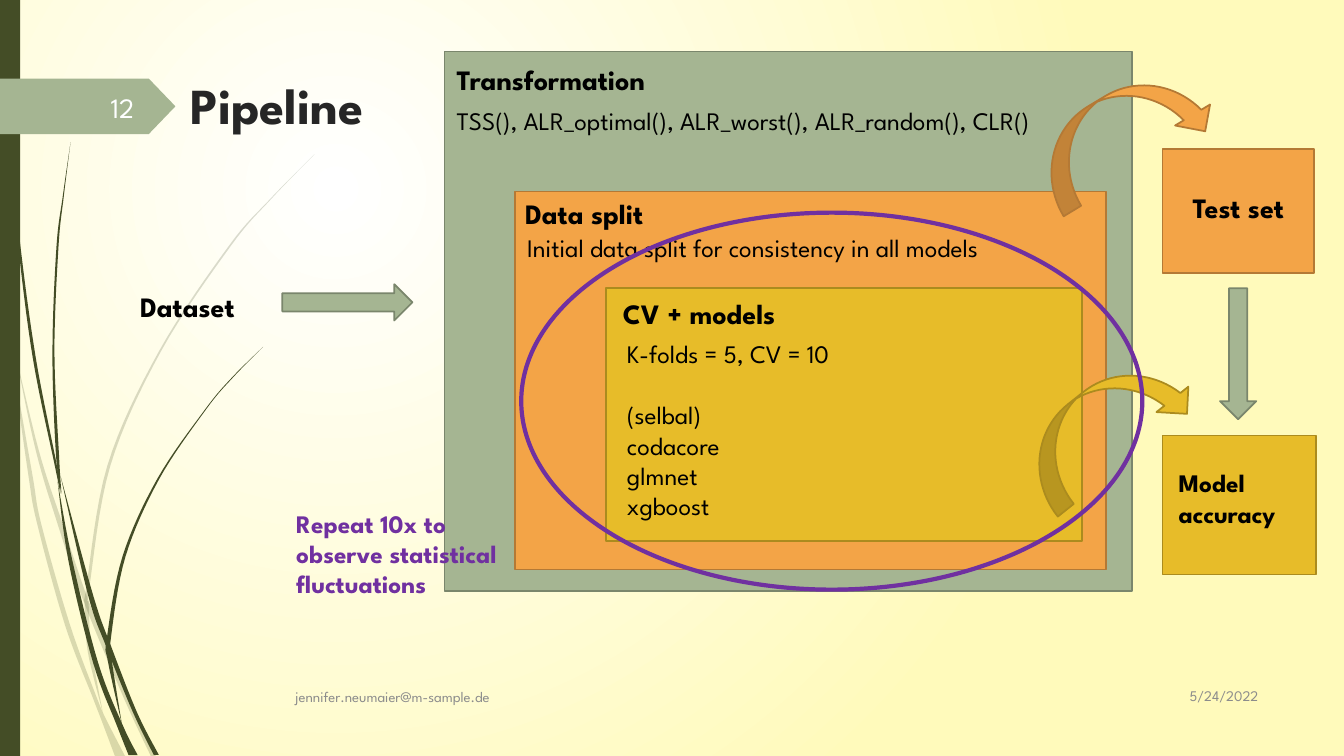
from lxml import etree
from pptx import Presentation
from pptx.dml.color import RGBColor
from pptx.enum.shapes import MSO_SHAPE
from pptx.enum.text import MSO_ANCHOR, PP_ALIGN
from pptx.oxml.ns import qn
from pptx.util import Inches, Pt

RECT = MSO_SHAPE.RECTANGLE
OVAL = MSO_SHAPE.OVAL
ARROW = MSO_SHAPE.RIGHT_ARROW
CURVE = MSO_SHAPE.CURVED_DOWN_ARROW
TAG = MSO_SHAPE.PENTAGON
TOP, MIDDLE = MSO_ANCHOR.TOP, MSO_ANCHOR.MIDDLE
LEFT, RIGHT = PP_ALIGN.LEFT, PP_ALIGN.RIGHT

FONT = "League Spartan"
STEPS = 8
COLORS = {
    "white": "FFFFFF", "cream": "FFFABB", "dark": "444D26",
    "green": "A5B592", "moss": "7A866C",
    "orange": "F3A447", "rust": "B47935",
    "gold": "E7BC29", "bronze": "AB8B1E",
    "purple": "7030A0", "black": "000000", "ink": "262626",
    "gray": "8C8C8C", "pale": "FEFFFF",
}
EDGES = {"green": "moss", "orange": "rust", "gold": "bronze"}

# Each point is x, y and width across, in inches.
PALE_STEMS = [
    [(0.11, 3.5, 0), (0.3, 4.7, 0.04), (0.39, 5.2, 0.04), (0.67, 6.2, 0.05),
     (0.94, 6.92, 0.04), (1.03, 7.14, 0.05), (1.19, 7.5, 0.1)],
    [(0.14, 3.45, 0), (0.37, 4.47, 0.03), (0.6, 5.21, 0.05), (0.86, 5.98, 0.05),
     (1.25, 6.93, 0.04), (1.52, 7.5, 0.05)],
    [(1.02, 7.07, 0), (0.89, 6.46, 0.04), (0.86, 6, 0.04), (0.87, 5.84, 0.03),
     (1.08, 4.62, 0.03), (1.59, 3.48, 0.02), (2.28, 2.44, 0.02),
     (2.68, 1.98, 0.01), (3.12, 1.53, 0)],
]
DARK_STEMS = [
    [(0.03, 0, 0.01), (0.07, 1.1, 0.01), (0.18, 2.33, 0.02),
     (0.34, 3.55, 0.03), (0.56, 4.65, 0.02), (0.6, 4.9, 0)],
    [(0.57, 4.77, 0), (0.7, 5.57, 0.04), (0.95, 6.58, 0.05),
     (1.19, 7.2, 0.06), (1.32, 7.49, 0.09)],
    [(0.6, 4.72, 0), (0.9, 5.91, 0.05), (1.08, 6.42, 0.05),
     (1.34, 7.07, 0.04), (1.55, 7.49, 0.05)],
    [(0.61, 4.9, 0), (0.57, 4.51, 0.03), (0.53, 3.49, 0.02),
     (0.57, 2.45, 0.02), (0.63, 1.93, 0.01), (0.7, 1.41, 0)],
    [(1.21, 7.19, 0), (1.09, 6.56, 0.04), (1.08, 6.33, 0.04),
     (1.23, 5.52, 0.03), (1.57, 4.75, 0.02), (2.04, 4.06, 0.01),
     (2.31, 3.74, 0.01), (2.61, 3.44, 0)],
]


def color(name):
    return RGBColor.from_string(COLORS[name])


def smooth(points):
    ends = [points[0], *points, points[-1]]
    curve = []
    for a, b, c, d in zip(ends, ends[1:], ends[2:], ends[3:]):
        for step in range(STEPS):
            t = step / STEPS
            curve.append([
                q + t * (r - p) / 2
                + t * t * (2 * p - 5 * q + 4 * r - s) / 2
                + t ** 3 * (3 * q - p - 3 * r + s) / 2
                for p, q, r, s in zip(a, b, c, d)
            ])
    return curve + [points[-1]]


def add_stem(slide, points, alpha=None):
    curve = smooth(points)
    edge = [(x - w / 2, y) for x, y, w in curve]
    edge += [(x + w / 2, y) for x, y, w in reversed(curve)]
    dots = [(Inches(x), Inches(y)) for x, y in edge]
    pen = slide.shapes.build_freeform(*dots[0])
    pen.add_line_segments(dots[1:])
    stem = pen.convert_to_shape()
    stem.shadow.inherit = False
    stem.fill.solid()
    stem.fill.fore_color.rgb = color("dark")
    stem.line.fill.background()
    if alpha:
        tint = next(stem.fill._xPr.iter(qn("a:srgbClr")))
        etree.SubElement(tint, qn("a:alpha")).set("val", str(alpha * 1000))


def add_form(slide, kind, box, fill=None, edge=None, width=1.25, turn=0):
    form = slide.shapes.add_shape(kind, *map(Inches, box))
    form.shadow.inherit = False
    form.rotation = turn
    if fill:
        form.fill.solid()
        form.fill.fore_color.rgb = color(fill)
    else:
        form.fill.background()
    if edge:
        form.line.color.rgb = color(edge)
        form.line.width = Pt(width)
    else:
        form.line.fill.background()
    return form


def add_text(slide, box, lines, size, bold=False, ink="black",
             align=LEFT, anchor=TOP):
    frame = slide.shapes.add_textbox(*map(Inches, box)).text_frame
    frame.word_wrap = True
    frame.vertical_anchor = anchor
    frame.text = lines
    for para in frame.paragraphs:
        para.alignment = align
        para.font.name = FONT
        para.font.size = Pt(size)
        para.font.bold = bold
        para.font.color.rgb = color(ink)
    return frame


def set_back(slide):
    fill = slide.background.fill
    fill.gradient()
    for stop, name, place in zip(fill.gradient_stops, ("white", "cream"), (0, 1)):
        stop.color.rgb = color(name)
        stop.position = place
    grad = next(slide.background._cSld.iter(qn("a:gradFill")))
    grad.remove(grad.find(qn("a:lin")))
    ring = etree.SubElement(grad, qn("a:path"))
    ring.set("path", "circle")
    rect = etree.SubElement(ring, qn("a:fillToRect"))
    for side, value in zip("ltrb", (50, 50, 100, 100)):
        rect.set(side, str(value * 1000))


def main():
    deck = Presentation()
    deck.slide_width, deck.slide_height = Inches(13.33), Inches(7.5)
    slide = deck.slides.add_slide(deck.slide_layouts[6])
    set_back(slide)
    for stem in PALE_STEMS:
        add_stem(slide, stem, 20)
    for stem in DARK_STEMS:
        add_stem(slide, stem)
    add_form(slide, RECT, (0, 0, 0.2, 7.5), "dark")
    tag = add_form(slide, TAG, (0, 0.78, 1.74, 0.55), "green")
    tag.adjustments[0] = 0.48

    add_text(slide, (1.79, 0.69, 2.6, 0.8), "Pipeline", 36, True, "ink")
    add_text(slide, (11.33, 6.7, 1.25, 0.41), "5/24/2022", 10.5, False, "gray", RIGHT, MIDDLE)
    add_text(slide, (2.83, 6.71, 8.33, 0.4), "jennifer.neumaier@m-sample.de",
             10.5, False, "gray", LEFT, MIDDLE)
    add_text(slide, (0.58, 0.86, 0.85, 0.4), "12", 20, False, "pale", RIGHT, MIDDLE)

    for kind, box, fill, turn in [
        (RECT, (4.41, 0.51, 6.82, 5.35), "green", 0),
        (ARROW, (2.8, 2.82, 1.29, 0.36), "green", 0),
        (RECT, (5.11, 1.9, 5.86, 3.75), "orange", 0),
        (RECT, (6.01, 2.86, 4.72, 2.51), "gold", 0),
        (RECT, (11.53, 1.48, 1.5, 1.23), "orange", 0),
        (RECT, (11.53, 4.32, 1.52, 1.38), "gold", 0),
        (ARROW, (11.63, 3.33, 1.3, 0.36), "green", 90),
        (CURVE, (10.21, 0.92, 1.84, 0.81), "orange", 329),
        (CURVE, (10.04, 3.83, 1.84, 0.81), "gold", 321.5),
    ]:
        add_form(slide, kind, box, fill, EDGES[fill], turn=turn)

    for box, words in [
        ((1.29, 2.82, 1.41, 0.4), "Dataset"),
        ((4.43, 0.57, 2.87, 0.4), "Transformation"),
        ((5.11, 1.9, 2.87, 0.4), "Data split"),
        ((11.73, 1.84, 1.31, 0.4), "Test set"),
        ((6.08, 2.89, 4.32, 0.4), "CV + models"),
    ]:
        add_text(slide, box, words, 20, True)
    add_text(slide, (4.43, 1, 6.71, 0.37),
             "TSS(), ALR_optimal(), ALR_worst(), ALR_random(), CLR()", 18)
    add_text(slide, (5.13, 2.26, 6.29, 0.37),
             "Initial data split for consistency in all models", 18)
    models = add_text(slide, (6.12, 3.31, 4.07, 1.75),
                      "K-folds = 5, CV = 10\n(selbal)\ncodacore\nglmnet\nxgboost", 18)
    models.paragraphs[1].space_before = Pt(22)
    add_text(slide, (11.59, 4.59, 1.39, 0.71), "Model accuracy", 18, True)
    add_form(slide, OVAL, (5.17, 2.11, 6.16, 3.74), edge="purple", width=3)
    add_text(slide, (2.84, 4.99, 2.2, 0.92),
             "Repeat 10x to observe statistical fluctuations", 18, True, "purple")
    deck.save("out.pptx")


if __name__ == "__main__":
    main()
